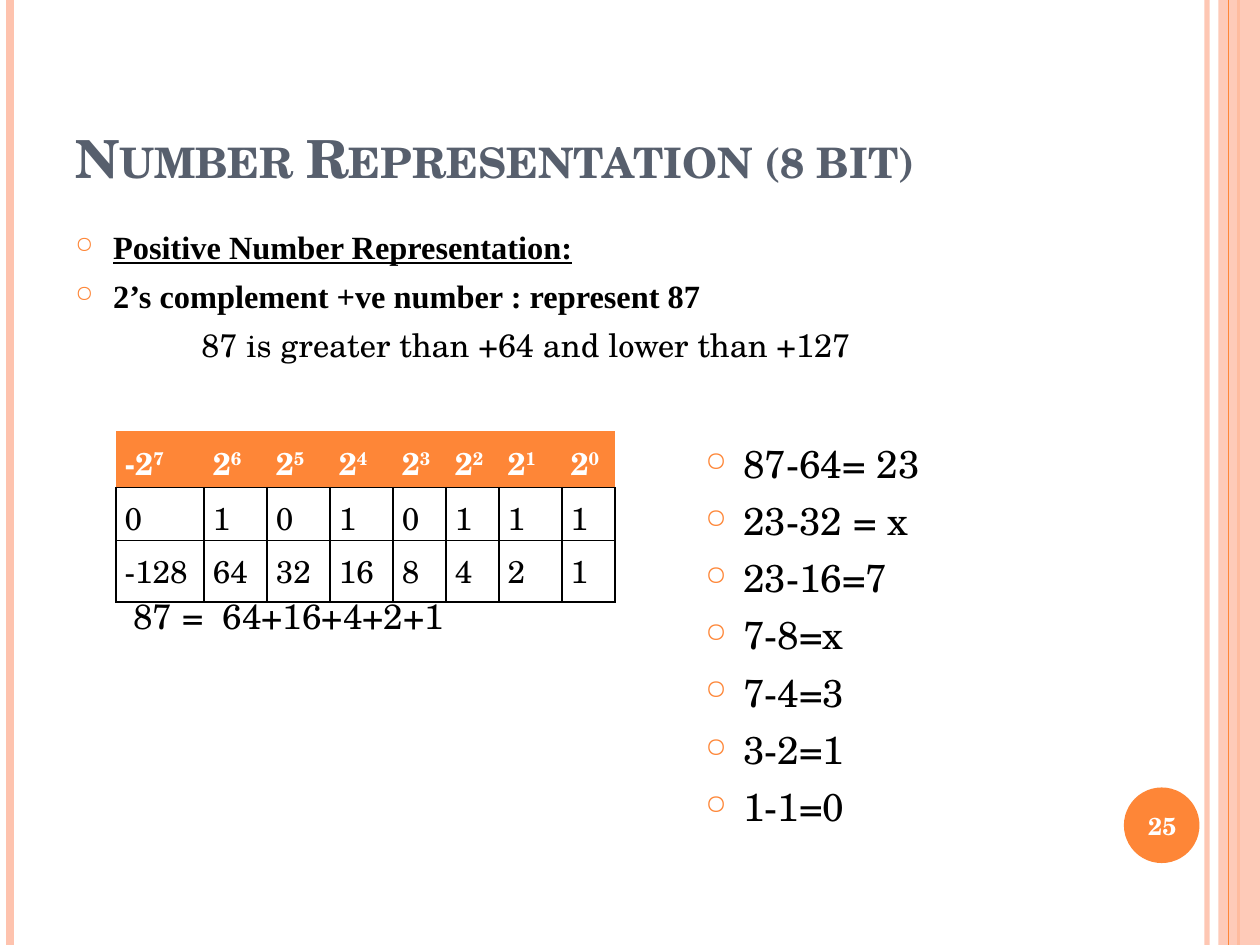
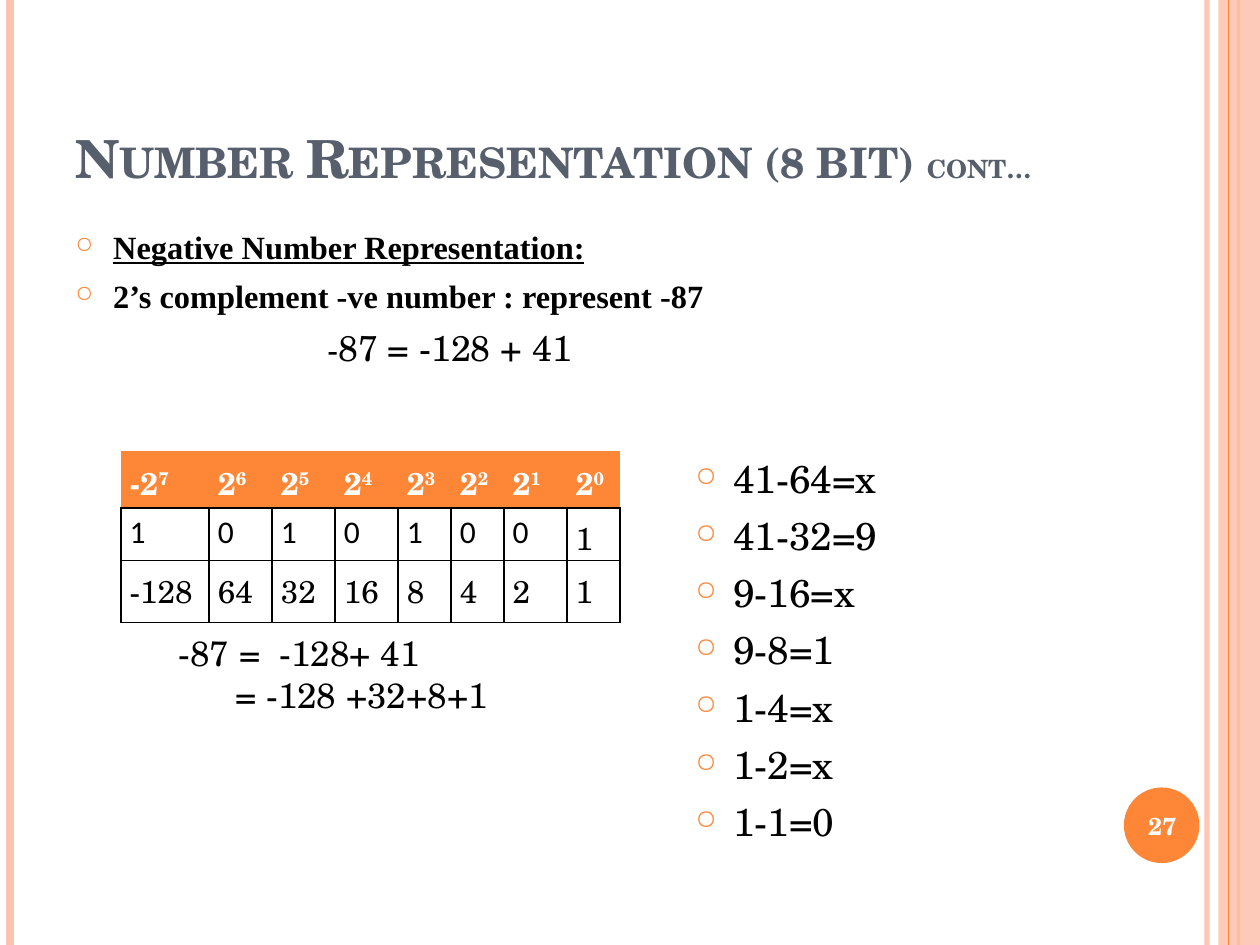
from dataclasses import dataclass
from typing import NamedTuple

from lxml.etree import SubElement
from pptx import Presentation
from pptx.dml.color import RGBColor
from pptx.enum.shapes import MSO_CONNECTOR, MSO_SHAPE
from pptx.enum.text import MSO_ANCHOR, PP_ALIGN
from pptx.oxml.ns import qn
from pptx.slide import Slide
from pptx.util import Inches, Pt


@dataclass(frozen=True)
class Theme:
    """Colours, fonts and type sizes shared by the slides."""
    accent: str = "FE8637"
    pale: str = "FEC3AE"
    heading: str = "575F6D"
    ink: str = "000000"
    paper: str = "FFFFFF"
    serif: str = "TeX Gyre Schola"
    roman: str = "Times New Roman"
    sans: str = "Calibri"
    title: float = 30
    title_note: float = 18
    intro: float = 18.5
    equation: float = 20.4
    steps: float = 22.2
    cell: float = 18
    result: float = 20
    number: float = 14


THEME = Theme()


class Span(NamedTuple):
    """A run of text with its format."""
    text: str
    size: float
    font: str = THEME.serif
    color: str = THEME.ink
    bold: bool = False
    underline: bool = False
    raised: bool = False
    small_caps: bool = False


class Para(NamedTuple):
    """A paragraph with its spacing, indent, bullet and tab stop."""
    spans: list[Span]
    before: float = 0
    bullet: bool = False
    indent: float = 0
    tab: float = 0
    align: PP_ALIGN = PP_ALIGN.LEFT
    line_spacing: float | None = None


class Area(NamedTuple):
    """Left, top, width and height in inches."""
    left: float
    top: float
    width: float
    height: float


class Rule(NamedTuple):
    """A full-height vertical line."""
    x: float
    color: str
    width: float
    opacity: int = 100


@dataclass(frozen=True)
class Lesson:
    """The content of one number representation slide."""
    number: int
    title_note: str
    headings: list[str]
    equation: Para
    steps_at: tuple[float, float]
    steps: list[str]
    table_at: tuple[float, float]
    bits: str
    bit_fonts: list[str]
    result_area: Area
    result: list[Para]


RULES = [Rule(9.58, THEME.pale, 3, 93), Rule(0.08, THEME.pale, 4.5),
         Rule(9.83, THEME.accent, 1.5)]
INNER_RULE = Rule(9.75, THEME.accent, 0.75)
BAND = Area(9.67, 0, 0.33, 7.5)
BADGE = Area(8.92, 6.25, 0.6, 0.6)
COLUMNS = [0.7, 0.5, 0.5, 0.5, 0.42, 0.42, 0.5, 0.42]
ROWS = [0.45, 0.42, 0.49]
POWERS = range(7, -1, -1)

LESSONS = [
    Lesson(
        25, "",
        ["Positive Number Representation:", "2’s complement +ve number : represent 87"],
        Para([Span("\t87 is greater than +64 and lower than +127", THEME.intro)],
             before=6, tab=1),
        (5.5, 3.44),
        ["87-64= 23", "23-32 = x", "23-16=7", "7-8=x", "7-4=3", "3-2=1", "1-1=0"],
        (0.92, 3.42), "01010111", [THEME.serif] * 8,
        Area(0.96, 4.67, 2.95, 0.44),
        [Para([Span("87 =\t64+16+4+2+1", THEME.result)], tab=0.71)],
    ),
    Lesson(
        27, "cont…",
        ["Negative Number Representation:", "2’s complement -ve number : represent -87"],
        Para([Span("\t-", THEME.intro), Span("87 = -128 + 41", THEME.equation)],
             before=6, tab=2),
        (5.42, 3.56),
        ["41-64=x", "41-32=9", "9-16=x", "9-8=1", "1-4=x", "1-2=x", "1-1=0"],
        (0.96, 3.58), "10101001", [THEME.sans] * 7 + [THEME.serif],
        Area(1.32, 4.96, 3.45, 0.77),
        [Para([Span("-87 =\t-128+ 41", THEME.result)], tab=0.8),
         Para([Span("= -128 +32+8+1", THEME.result)], indent=0.45)],
    ),
]


def rgb(color: str) -> RGBColor:
    """Turn a hex string into a colour."""
    return RGBColor.from_string(color)


def inches(area: Area) -> list[Inches]:
    """Turn an area into lengths."""
    return [Inches(value) for value in area]


def set_opacity(shape, percent: int) -> None:
    """Make the first colour of a shape partly transparent."""
    if percent < 100:
        color = next(shape.element.iter(qn("a:srgbClr")))
        SubElement(color, qn("a:alpha"), val=str(percent * 1000))


def write_span(para, item: Span) -> None:
    """Add one formatted run to a paragraph."""
    span = para.add_run()
    span.text = item.text
    formats = {"name": item.font, "size": Pt(item.size), "bold": item.bold,
               "underline": item.underline}
    for name, value in formats.items():
        setattr(span.font, name, value)
    span.font.color.rgb = rgb(item.color)
    properties = span._r.get_or_add_rPr()
    if item.raised:
        properties.set("baseline", "30000")
    if item.small_caps:
        properties.set("cap", "small")


def write_para(para, item: Para) -> None:
    """Fill a paragraph with its spans and layout."""
    formats = {"alignment": item.align, "space_before": Pt(item.before),
               "line_spacing": item.line_spacing}
    for name, value in formats.items():
        setattr(para, name, value)
    properties = para._p.get_or_add_pPr()
    if item.bullet:
        hang = Inches(0.3)
        properties.set("marL", str(hang))
        properties.set("indent", str(-hang))
        color = SubElement(properties, qn("a:buClr"))
        SubElement(color, qn("a:srgbClr"), val=THEME.accent)
        SubElement(properties, qn("a:buSzPct"), val="70000")
        SubElement(properties, qn("a:buChar"), char="○")
    elif item.indent:
        properties.set("marL", str(Inches(item.indent)))
    if item.tab:
        stops = SubElement(properties, qn("a:tabLst"))
        SubElement(stops, qn("a:tab"), pos=str(Inches(item.tab)), algn="l")
    for span in item.spans:
        write_span(para, span)


def write_paras(frame, paras: list[Para]) -> None:
    """Fill a text frame with paragraphs."""
    for index, item in enumerate(paras):
        write_para(frame.add_paragraph() if index else frame.paragraphs[0], item)


def add_text(page: Slide, area: Area, paras: list[Para],
             anchor: MSO_ANCHOR = MSO_ANCHOR.TOP) -> None:
    """Add a wrapping text box."""
    frame = page.shapes.add_textbox(*inches(area)).text_frame
    frame.word_wrap = True
    frame.vertical_anchor = anchor
    write_paras(frame, paras)


def add_rule(page: Slide, rule: Rule) -> None:
    """Draw a vertical line down the whole slide."""
    x = Inches(rule.x)
    line = page.shapes.add_connector(MSO_CONNECTOR.STRAIGHT, x, 0, x, Inches(7.5))
    line.line.color.rgb = rgb(rule.color)
    line.line.width = Pt(rule.width)
    set_opacity(line, rule.opacity)
    SubElement(line.element.spPr, qn("a:effectLst"))


def add_filled(page: Slide, kind: MSO_SHAPE, area: Area, color: str,
               opacity: int = 100) -> None:
    """Draw a flat shape without an outline."""
    shape = page.shapes.add_shape(kind, *inches(area))
    shape.shadow.inherit = False
    shape.fill.solid()
    shape.fill.fore_color.rgb = rgb(color)
    shape.line.fill.background()
    set_opacity(shape, opacity)


def add_frame(page: Slide, lesson: Lesson) -> None:
    """Draw the side bands, the title and the slide number."""
    for rule in RULES:
        add_rule(page, rule)
    add_filled(page, MSO_SHAPE.RECTANGLE, BAND, THEME.pale, 87)
    add_rule(page, INNER_RULE)
    add_filled(page, MSO_SHAPE.OVAL, BADGE, THEME.accent)
    title = Span("Number Representation (8 bit)", THEME.title, color=THEME.heading,
                 bold=True, small_caps=True)
    spans = [title]
    if lesson.title_note:
        spans = [title._replace(text=title.text + " "),
                 title._replace(text=lesson.title_note, size=THEME.title_note)]
    add_text(page, Area(0.5, 0.3, 8.17, 1.25), [Para(spans)], MSO_ANCHOR.BOTTOM)
    number = Span(str(lesson.number), THEME.number, color=THEME.paper, bold=True)
    add_text(page, Area(8.89, 6.27, 0.67, 0.57),
             [Para([number], align=PP_ALIGN.CENTER)], MSO_ANCHOR.MIDDLE)


def set_borders(cell, sides: str) -> None:
    """Give a cell black borders on the named sides only."""
    properties = cell._tc.get_or_add_tcPr()
    for side in "LRTB":
        line = SubElement(properties, qn(f"a:ln{side}"), w=str(Pt(1)))
        if side in sides:
            fill = SubElement(line, qn("a:solidFill"))
            SubElement(fill, qn("a:srgbClr"), val=THEME.ink)
        else:
            SubElement(line, qn("a:noFill"))


def fill_cell(cell, spans: list[Span], header: bool) -> None:
    """Write and style one table cell."""
    margins = {"margin_left": 0.07, "margin_right": 0.07,
               "margin_top": 0, "margin_bottom": 0}
    for name, value in margins.items():
        setattr(cell, name, Inches(value))
    set_borders(cell, "B" if header else "LRTB")
    if header:
        cell.fill.solid()
        cell.fill.fore_color.rgb = rgb(THEME.accent)
    else:
        cell.fill.background()
    write_paras(cell.text_frame, [Para(spans, line_spacing=1.15)])


def add_bit_table(page: Slide, lesson: Lesson) -> None:
    """Add the table of powers, bits and place values."""
    area = Area(*lesson.table_at, sum(COLUMNS), sum(ROWS))
    table = page.shapes.add_table(len(ROWS), len(COLUMNS), *inches(area)).table
    table.first_row = table.horz_banding = False
    for row, height in zip(table.rows, ROWS):
        row.height = Inches(height)
    for index, power in enumerate(POWERS):
        table.columns[index].width = Inches(COLUMNS[index])
        sign = "-" if power == 7 else ""
        base = Span(f"{sign}2", THEME.cell, color=THEME.paper, bold=True)
        column = [
            [base, base._replace(text=str(power), raised=True)],
            [Span(lesson.bits[index], THEME.cell, lesson.bit_fonts[index])],
            [Span(f"{sign}{2 ** power}", THEME.cell)],
        ]
        for row, spans in enumerate(column):
            fill_cell(table.cell(row, index), spans, row == 0)


def add_lesson(page: Slide, lesson: Lesson) -> None:
    """Build one slide."""
    add_frame(page, lesson)
    intro = [Para([Span(text, THEME.intro, THEME.roman, bold=True, underline=index == 0)],
                  before=6, bullet=True) for index, text in enumerate(lesson.headings)]
    add_text(page, Area(0.5, 1.75, 8.92, 1.4), intro + [lesson.equation])
    steps = [Para([Span(text, THEME.steps)], before=6, bullet=True) for text in lesson.steps]
    add_text(page, Area(*lesson.steps_at, 3.29, 3), steps)
    add_bit_table(page, lesson)
    add_text(page, lesson.result_area, lesson.result)


def main() -> None:
    """Build and save the deck."""
    deck = Presentation()
    deck.slide_width, deck.slide_height = Inches(10), Inches(7.5)
    for lesson in LESSONS:
        add_lesson(deck.slides.add_slide(deck.slide_layouts[6]), lesson)
    deck.save("out.pptx")


if __name__ == "__main__":
    main()
